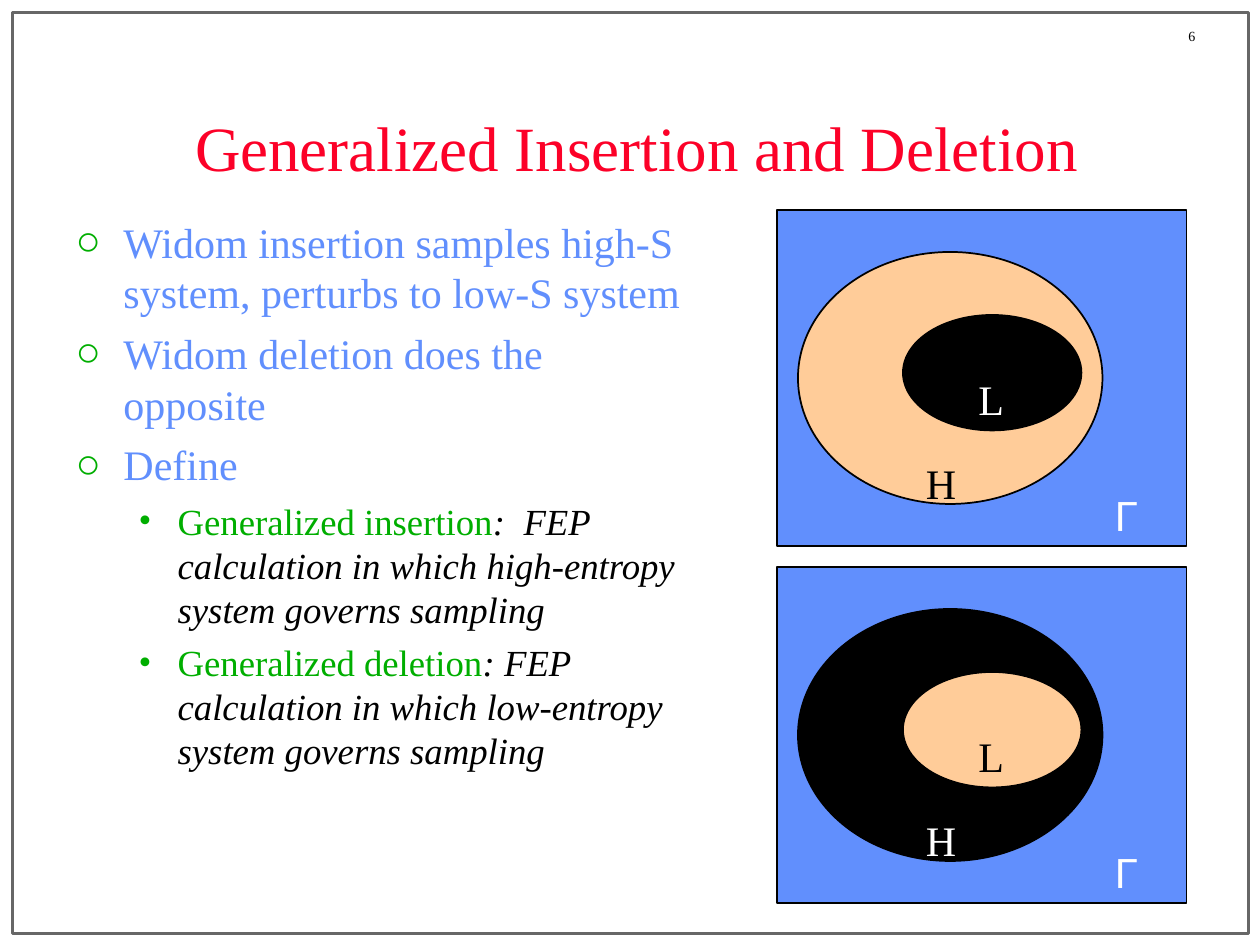
from dataclasses import dataclass

from lxml import etree
from pptx import Presentation
from pptx.dml.color import RGBColor
from pptx.enum.shapes import MSO_SHAPE
from pptx.enum.text import MSO_ANCHOR, MSO_AUTO_SIZE, PP_ALIGN
from pptx.oxml.ns import qn
from pptx.util import Inches, Pt

RECTANGLE, ELLIPSE = MSO_SHAPE.RECTANGLE, MSO_SHAPE.OVAL
MIDDLE, TOP = MSO_ANCHOR.MIDDLE, MSO_ANCHOR.TOP
CENTER, LEFT = PP_ALIGN.CENTER, PP_ALIGN.LEFT
FIXED, GROW = MSO_AUTO_SIZE.NONE, MSO_AUTO_SIZE.SHAPE_TO_FIT_TEXT


@dataclass(frozen=True)
class Theme:
    serif: str = "Times New Roman"
    sans: str = "Arial"
    red: str = "FC0128"
    blue: str = "618FFD"
    green: str = "00AE00"
    peach: str = "FFCC99"
    black: str = "000000"
    white: str = "FFFFFF"
    gray: str = "676767"
    title_size: float = 36
    text_size: float = 24
    detail_size: float = 21
    number_size: float = 8


@dataclass(frozen=True)
class ListLevel:
    bullet: str
    indent: float
    hanging: float
    space_before: float
    size: float


class SlideBuilder:
    """Places elements on a grid of 120 columns by 90 rows."""

    COLUMNS, ROWS = 120, 90

    def __init__(self, presentation, theme):
        self.theme = theme
        self.column = presentation.slide_width / self.COLUMNS
        self.row = presentation.slide_height / self.ROWS
        self.slide = presentation.slides.add_slide(presentation.slide_layouts[1])
        self.levels = [
            ListLevel("○", 0.38, 0.38, 6, theme.text_size),
            ListLevel("•", 0.81, 0.31, 5.2, theme.detail_size),
        ]

    def box(self, left, top, width, height):
        return (round(left * self.column), round(top * self.row),
                round(width * self.column), round(height * self.row))

    def place(self, placeholder, area):
        (placeholder.left, placeholder.top,
         placeholder.width, placeholder.height) = self.box(*area)
        placeholder.text_frame.auto_size = FIXED

    def style(self, run, size, color, font=None, italic=False):
        run.font.name = font or self.theme.serif
        run.font.size = Pt(size)
        run.font.italic = italic
        run.font.color.rgb = RGBColor.from_string(color)

    def title(self, text, area):
        heading = self.slide.shapes.title
        self.place(heading, area)
        frame = heading.text_frame
        frame.text = text
        frame.vertical_anchor = MIDDLE
        frame.paragraphs[0].alignment = CENTER
        self.style(frame.paragraphs[0].runs[0], self.theme.title_size, self.theme.red)

    def bullet(self, paragraph, level):
        properties = paragraph._p.get_or_add_pPr()
        properties.set("marL", str(Inches(level.indent)))
        properties.set("indent", str(-Inches(level.hanging)))
        color = etree.SubElement(properties, qn("a:buClr"))
        etree.SubElement(color, qn("a:srgbClr"), val=self.theme.green)
        etree.SubElement(properties, qn("a:buFont"), typeface=self.theme.serif)
        etree.SubElement(properties, qn("a:buChar"), char=level.bullet)

    def body(self, items, area):
        content = self.slide.placeholders[1]
        self.place(content, area)
        frame = content.text_frame
        frame.vertical_anchor = TOP
        for index, (depth, parts) in enumerate(items):
            paragraph = frame.paragraphs[0] if index == 0 else frame.add_paragraph()
            level = self.levels[depth]
            paragraph.level = depth
            paragraph.alignment = LEFT
            paragraph.space_before = Pt(level.space_before)
            self.bullet(paragraph, level)
            for text, color, italic in parts:
                run = paragraph.add_run()
                run.text = text
                self.style(run, level.size, color, italic=italic)

    def shape(self, kind, area, fill=None, line=None, weight=1, parent=None):
        outline = (parent or self.slide).shapes.add_shape(kind, *self.box(*area))
        outline.shadow.inherit = False
        if fill:
            outline.fill.solid()
            outline.fill.fore_color.rgb = RGBColor.from_string(fill)
        else:
            outline.fill.background()
        outline.line.color.rgb = RGBColor.from_string(line or self.theme.black)
        outline.line.width = Pt(weight)

    def label(self, text, area, size, color, font=None, space_before=0, parent=None):
        holder = (parent or self.slide).shapes.add_textbox(*self.box(*area))
        frame = holder.text_frame
        frame.word_wrap = True
        frame.auto_size = GROW
        frame.text = text
        frame.paragraphs[0].space_before = Pt(space_before)
        self.style(frame.paragraphs[0].runs[0], size, color, font)

    def phase_space(self, left, top, high_fill, low_fill, high_text, low_text):
        """Phase space Γ with the low-entropy region L nested in region H."""
        theme = self.theme
        diagram = self.slide.shapes.add_group_shape()
        self.shape(RECTANGLE, (left, top, 39, 32), theme.blue, parent=diagram)
        self.shape(ELLIPSE, (left + 2, top + 4, 29, 24), high_fill, parent=diagram)
        self.shape(ELLIPSE, (left + 12, top + 10, 17, 11), low_fill, parent=diagram)
        for text, dx, dy, width, color, font in (
            ("Γ", 31, 26, 9, theme.white, theme.sans),
            ("H", 13, 23, 8, high_text, theme.serif),
            ("L", 18, 15, 8, low_text, theme.serif),
        ):
            self.label(text, (left + dx, top + dy, width, 6), theme.text_size,
                       color, font, space_before=15, parent=diagram)


def main():
    presentation = Presentation()
    presentation.slide_width, presentation.slide_height = Inches(10), Inches(7.5)
    theme = Theme()
    builder = SlideBuilder(presentation, theme)

    # Page frame and number
    builder.shape(RECTANGLE, (1.2, 1.2, 117.7, 87.7), line=theme.gray, weight=2)
    builder.label("6", (112, 2, 8, 2.8), theme.number_size, theme.black)

    # Title and list
    builder.title("Generalized Insertion and Deletion", (9, 8, 103.3, 11.9))
    points = [
        "Widom insertion samples high-S system, perturbs to low-S system",
        "Widom deletion does the opposite",
        "Define",
    ]
    definitions = [
        ("Generalized insertion",
         ":  FEP calculation in which high-entropy system governs sampling"),
        ("Generalized deletion",
         ": FEP calculation in which low-entropy system governs sampling"),
    ]
    items = [(0, [(point, theme.blue, False)]) for point in points]
    items += [(1, [(term, theme.green, False), (meaning, theme.black, True)])
              for term, meaning in definitions]
    builder.body(items, (6, 20, 60, 54))

    # Insertion samples H, deletion samples L: the sampled region is peach
    builder.phase_space(74, 20, theme.peach, theme.black, theme.black, theme.white)
    builder.phase_space(74, 54, theme.black, theme.peach, theme.white, theme.black)

    presentation.save("out.pptx")


if __name__ == "__main__":
    main()
